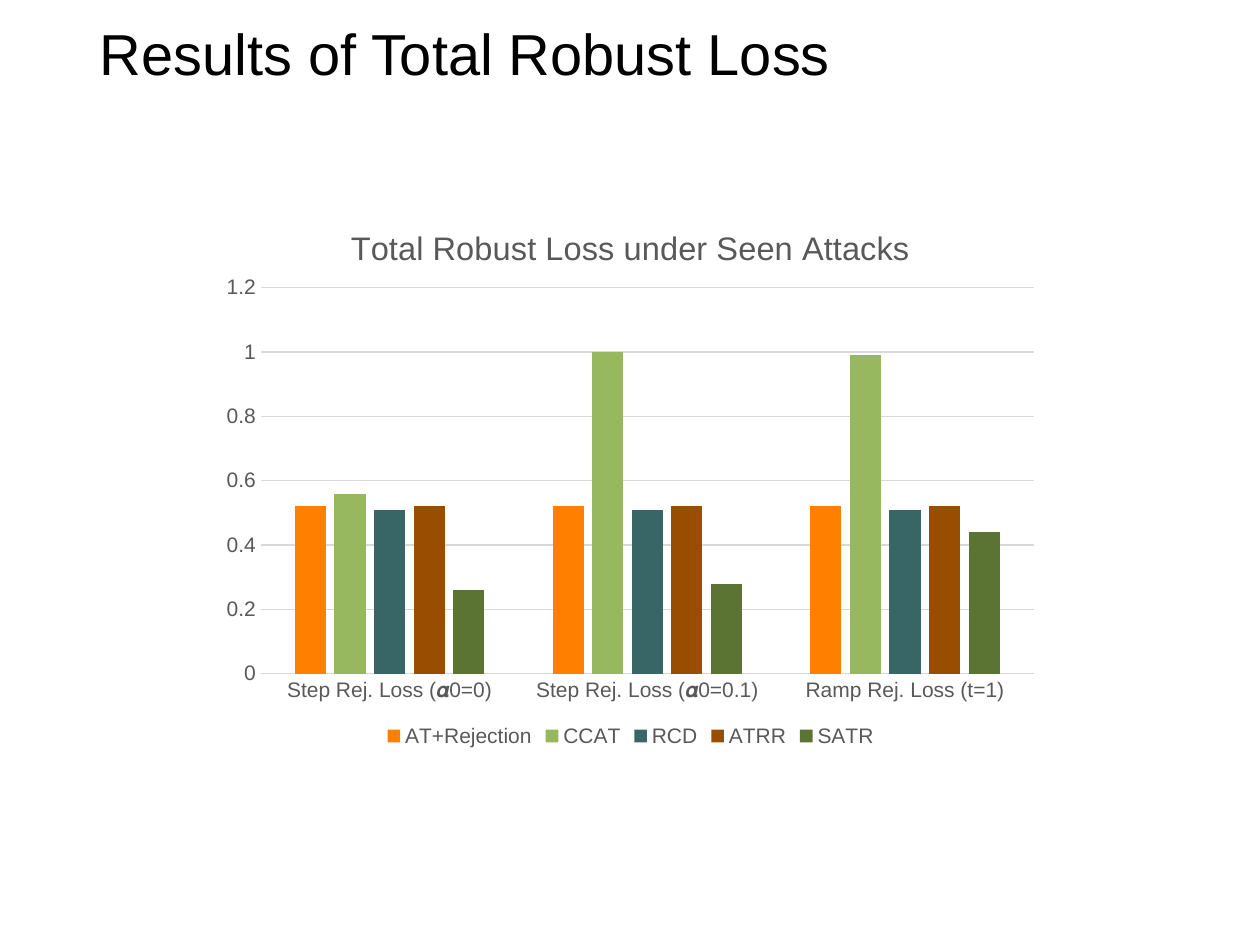
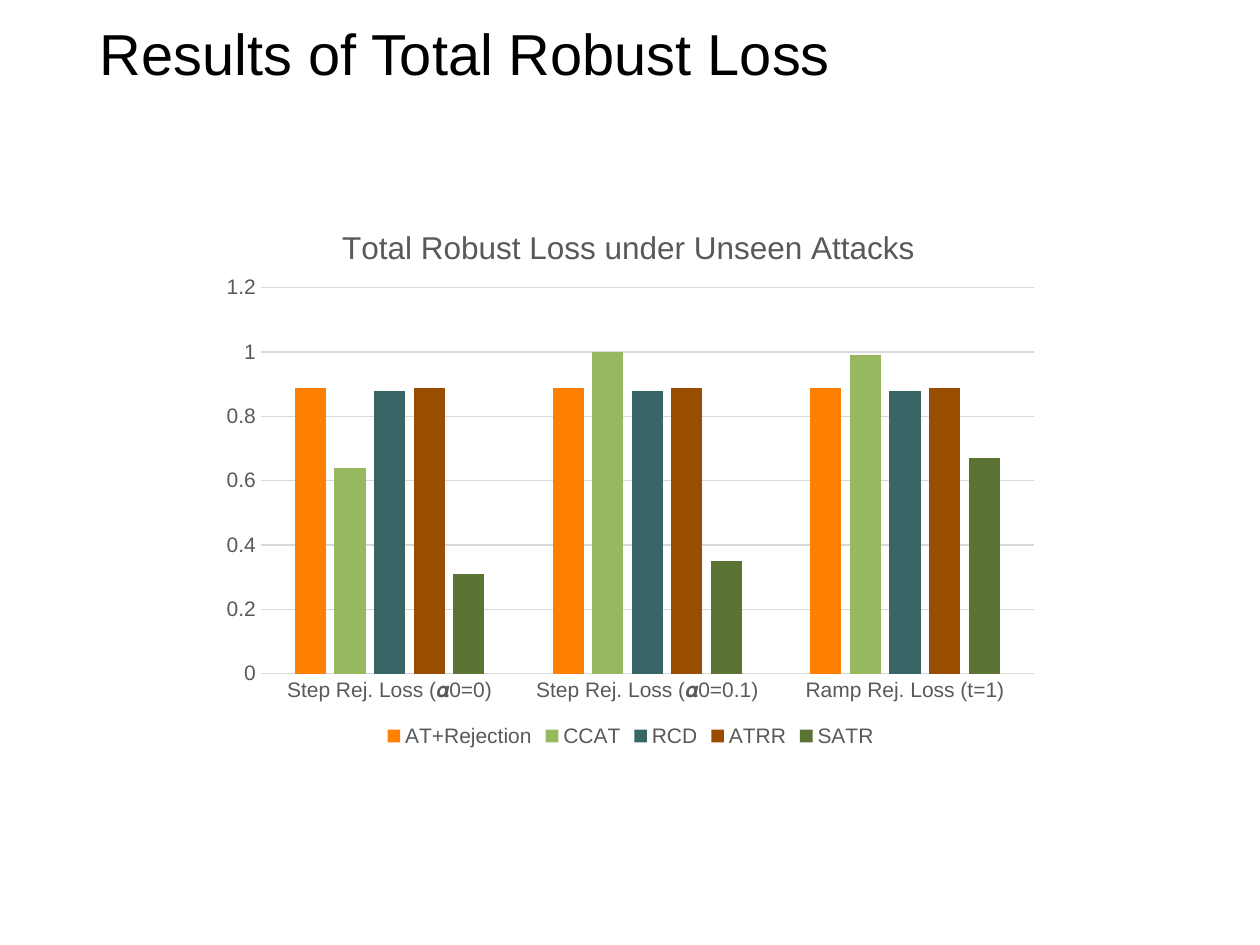
"""Build two slides comparing total robust loss under seen and unseen attacks."""
import pptx
import pptx.chart.data
import pptx.dml.color
import pptx.enum.chart
import pptx.enum.text
import pptx.oxml
import pptx.oxml.ns
import pptx.util

Inches, Pt = pptx.util.Inches, pptx.util.Pt
RGBColor = pptx.dml.color.RGBColor

BLACK = RGBColor(0x00, 0x00, 0x00)
LABEL_GRAY = RGBColor(0x59, 0x59, 0x59)
GRID_GRAY = RGBColor(0xD9, 0xD9, 0xD9)
METHOD_COLORS = {
    "AT+Rejection": RGBColor(0xFF, 0x80, 0x00),
    "CCAT": RGBColor(0x97, 0xB8, 0x5F),
    "RCD": RGBColor(0x38, 0x66, 0x66),
    "ATRR": RGBColor(0x99, 0x4D, 0x00),
    "SATR": RGBColor(0x5C, 0x74, 0x33),
}
FONT = "Arial"
SLIDE_TITLE = "Results of Total Robust Loss"
REJECTION_LOSSES = ("Step Rej. Loss (𝜶0=0)", "Step Rej. Loss (𝜶0=0.1)", "Ramp Rej. Loss (t=1)")
SEEN_LOSSES = (
    (0.52, 0.52, 0.52), (0.56, 1, 0.99), (0.51, 0.51, 0.51),
    (0.52, 0.52, 0.52), (0.26, 0.28, 0.44),
)
UNSEEN_LOSSES = (
    (0.89, 0.89, 0.89), (0.64, 1, 0.99), (0.88, 0.88, 0.88),
    (0.89, 0.89, 0.89), (0.31, 0.35, 0.67),
)


def set_values(target, values):
    """Set each named attribute of the target."""
    for name, value in values.items():
        setattr(target, name, value)


def style_font(font, size, color):
    """Give a font the deck's face with a size and colour."""
    set_values(font, {"name": FONT, "size": Pt(size), "bold": False})
    font.color.rgb = color


def style_line(line):
    """Draw a thin gray line."""
    line.color.rgb = GRID_GRAY
    line.width = Pt(0.75)


def place_part(parent, index, **fractions):
    """Fix a chart part's place as fractions of the chart area."""
    layout_tag = pptx.oxml.ns.qn("c:layout")
    for old_layout in parent.findall(layout_tag):
        parent.remove(old_layout)
    target = '<c:layoutTarget val="inner"/>' if "w" in fractions else ""
    modes = "".join(f'<c:{key}Mode val="edge"/>' for key in ("x", "y"))
    values = "".join(f'<c:{key} val="{value}"/>' for key, value in fractions.items())
    parent.insert(index, pptx.oxml.parse_xml(
        f'<c:layout {pptx.oxml.ns.nsdecls("c")}><c:manualLayout>'
        f"{target}{modes}{values}</c:manualLayout></c:layout>"))


def add_title(page):
    """Fill and format the slide title."""
    box = page.shapes.title
    set_values(box, {"left": Inches(0.69), "top": Inches(0.1),
                     "width": Inches(8.62), "height": Inches(0.7)})
    frame = box.text_frame
    frame.text = SLIDE_TITLE
    set_values(frame, {"vertical_anchor": pptx.enum.text.MSO_ANCHOR.MIDDLE,
                       "auto_size": pptx.enum.text.MSO_AUTO_SIZE.NONE})
    para = frame.paragraphs[0]
    set_values(para, {"alignment": pptx.enum.text.PP_ALIGN.LEFT, "line_spacing": 0.9})
    style_font(para.runs[0].font, 33, BLACK)


def style_chart_title(chart, heading, size, left):
    """Write the chart heading."""
    chart.has_title = True
    title = chart.chart_title
    title.text_frame.text = heading
    style_font(title.text_frame.paragraphs[0].runs[0].font, size, LABEL_GRAY)
    title.include_in_layout = False
    place_part(title.element, 1, x=left, y=0.05)


def style_axes(chart):
    """Format both axes and the gridlines."""
    for axis in (chart.category_axis, chart.value_axis):
        set_values(axis, {"major_tick_mark": pptx.enum.chart.XL_TICK_MARK.NONE,
                          "minor_tick_mark": pptx.enum.chart.XL_TICK_MARK.NONE})
        style_font(axis.tick_labels.font, 12, LABEL_GRAY)
    style_line(chart.category_axis.format.line)
    set_values(chart.value_axis, {"minimum_scale": 0, "maximum_scale": 1.2,
                                  "major_unit": 0.2, "has_major_gridlines": True})
    chart.value_axis.format.line.fill.background()
    style_line(chart.value_axis.major_gridlines.format.line)


def style_legend(chart):
    """Put the legend below the plot."""
    chart.has_legend = True
    set_values(chart.legend, {"position": pptx.enum.chart.XL_LEGEND_POSITION.BOTTOM,
                              "include_in_layout": False})
    style_font(chart.legend.font, 12, LABEL_GRAY)


def add_loss_chart(page, heading, size, left, losses):
    """Add a clustered column chart of each method's loss."""
    data = pptx.chart.data.CategoryChartData()
    data.categories = REJECTION_LOSSES
    for method, values in zip(METHOD_COLORS, losses):
        data.add_series(method, values)
    chart = page.shapes.add_chart(
        pptx.enum.chart.XL_CHART_TYPE.COLUMN_CLUSTERED,
        Inches(1.67), Inches(1.53), Inches(6.67), Inches(4.44), data).chart
    style_font(chart.font, 10, BLACK)
    plot = chart.plots[0]
    set_values(plot, {"gap_width": 219, "overlap": -27, "vary_by_categories": False})
    for series, color in zip(plot.series, METHOD_COLORS.values()):
        series.format.fill.solid()
        series.format.fill.fore_color.rgb = color
    style_chart_title(chart, heading, size, left)
    style_axes(chart)
    style_legend(chart)
    plot_area = chart.element.find(".//" + pptx.oxml.ns.qn("c:plotArea"))
    place_part(plot_area, 0, x=0.06, y=0.17, w=0.92, h=0.69)


def main():
    """Build and save the deck."""
    deck = pptx.Presentation()
    set_values(deck, {"slide_width": Inches(10), "slide_height": Inches(7.5)})
    charts = (
        ("Total Robust Loss under Seen Attacks", 18.6, 0.16, SEEN_LOSSES),
        ("Total Robust Loss under Unseen Attacks", 18, 0.15, UNSEEN_LOSSES),
    )
    for heading, size, left, losses in charts:
        page = deck.slides.add_slide(deck.slide_layouts.get_by_name("Title Only"))
        add_title(page)
        add_loss_chart(page, heading, size, left, losses)
    deck.save("out.pptx")


if __name__ == "__main__":
    main()
